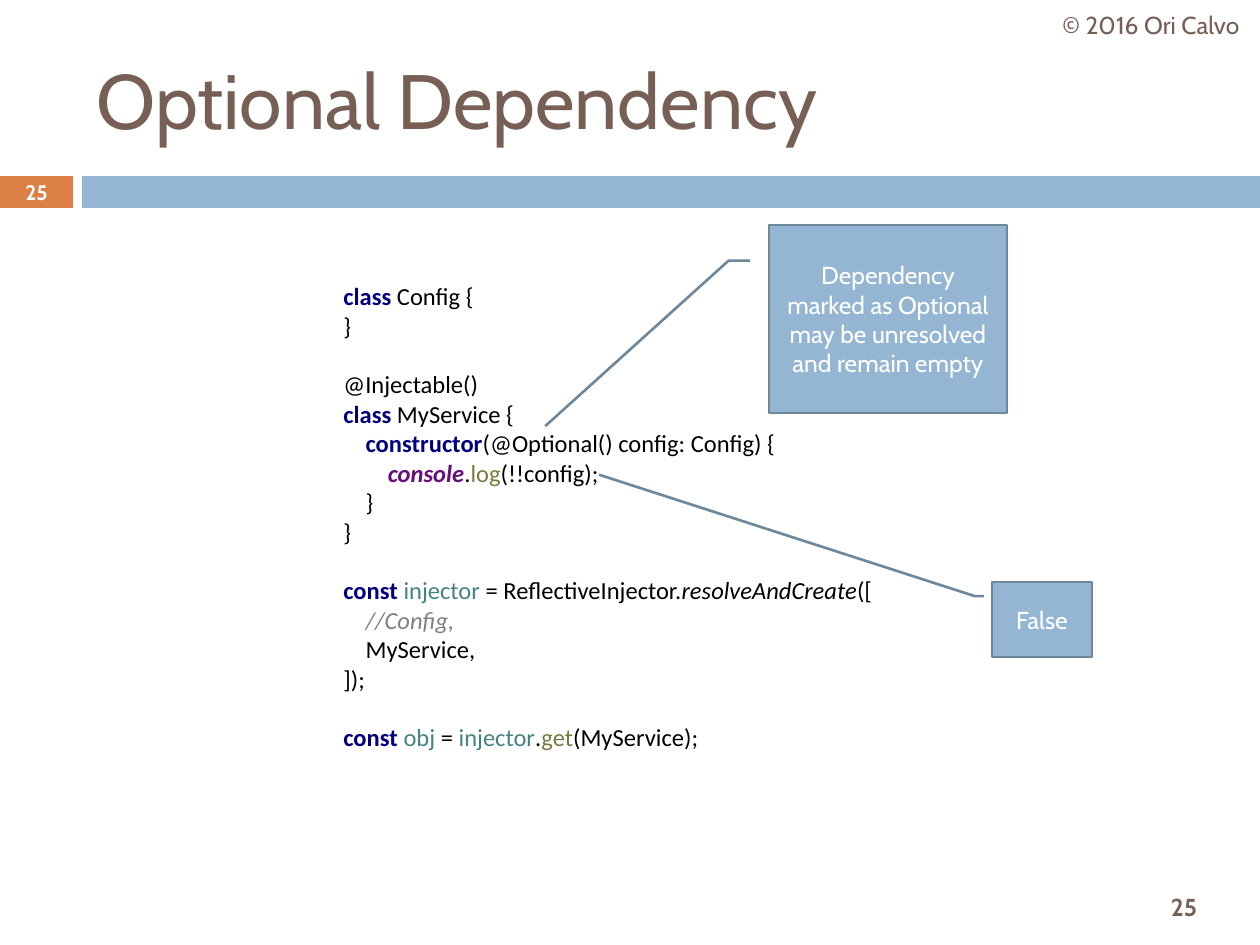
import pptx
import pptx.util
import pptx.dml.color
import pptx.enum.shapes
import pptx.enum.text
import pptx.oxml.ns
import lxml.etree

PX = 914400 / 126
COLORS = {
    "orange": "DD8047", "blue": "94B6D2", "edge": "6D879B", "brown": "775F55",
    "white": "FFFFFF", "black": "000000", "navy": "000080", "purple": "660E7A",
    "olive": "7A7A43", "teal": "458383", "gray": "808080",
}
SHAPE = pptx.enum.shapes.MSO_SHAPE
ALIGN = pptx.enum.text.PP_ALIGN


def px(*lengths):
    return [pptx.util.Emu(round(n * PX)) for n in lengths]


def write(p, text, color, size=14, name="Cabin", bold=False, italic=False):
    """Add one formatted run to paragraph p."""
    r = p.add_run()
    r.text = text
    fmt = {"size": pptx.util.Pt(size), "name": name, "bold": bold, "italic": italic}
    for key, value in fmt.items():
        setattr(r.font, key, value)
    r.font.color.rgb = pptx.dml.color.RGBColor.from_string(COLORS[color])


prs = pptx.Presentation()
prs.slide_width, prs.slide_height = px(1260, 945)
s = prs.slides.add_slide(prs.slide_layouts[5])

# Band under the title
for box, color in [((0, 176, 73, 32), "orange"), ((82, 176, 1178, 32), "blue")]:
    sp = s.shapes.add_shape(SHAPE.RECTANGLE, *px(*box))
    sp.shadow.inherit = False
    sp.fill.solid()
    sp.fill.fore_color.rgb = pptx.dml.color.RGBColor.from_string(COLORS[color])
    sp.line.fill.background()

# Title
title = s.shapes.title
title.left, title.top, title.width, title.height = px(84, 31, 1124, 136)
tf = title.text_frame
tf.auto_size = pptx.enum.text.MSO_AUTO_SIZE.NONE
tf.vertical_anchor = pptx.enum.text.MSO_ANCHOR.MIDDLE
tf.paragraphs[0].alignment = ALIGN.LEFT
write(tf.paragraphs[0], "Optional Dependency", "brown", 44)

# Copyright line and slide numbers
labels = [
    ("© 2016 Ori Calvo", (1042, 0, 218, 50), "brown", 14, False),
    ("25", (0, 175, 73, 34), "white", 12, True),
    ("25", (1126, 880, 116, 53), "brown", 14, True),
]
for text, box, color, size, bold in labels:
    tf = s.shapes.add_textbox(*px(*box)).text_frame
    tf.word_wrap = True
    tf.vertical_anchor = pptx.enum.text.MSO_ANCHOR.MIDDLE
    tf.margin_top = tf.margin_bottom = 0
    tf.paragraphs[0].alignment = ALIGN.CENTER
    write(tf.paragraphs[0], text, color, size, bold=bold)

# Code listing: lines of (text, style)
STYLES = {
    "plain": {"color": "black"},
    "keyword": {"color": "navy", "bold": True},
    "global": {"color": "purple", "bold": True, "italic": True},
    "method": {"color": "olive"},
    "variable": {"color": "teal"},
    "static": {"color": "black", "italic": True},
    "comment": {"color": "gray", "italic": True},
}
code = [
    [("class ", "keyword"), ("Config {", "plain")],
    [("}", "plain")],
    [],
    [("@Injectable()", "plain")],
    [("class ", "keyword"), ("MyService {", "plain")],
    [("    ", "plain"), ("constructor", "keyword"),
     ("(@Optional() config: Config) {", "plain")],
    [("        ", "plain"), ("console", "global"), (".", "plain"),
     ("log", "method"), ("(!!config);", "plain")],
    [("    }", "plain")],
    [("}", "plain")],
    [],
    [("const ", "keyword"), ("injector ", "variable"),
     ("= ReflectiveInjector.", "plain"), ("resolveAndCreate", "static"), ("([", "plain")],
    [("    ", "plain"), ("//Config,", "comment")],
    [("    MyService,", "plain")],
    [("]);", "plain")],
    [],
    [("const ", "keyword"), ("obj ", "variable"), ("= ", "plain"),
     ("injector", "variable"), (".", "plain"), ("get", "method"),
     ("(MyService);", "plain")],
]
tf = s.shapes.add_textbox(*px(331, 275, 630, 488)).text_frame
tf.word_wrap = True
p = tf.paragraphs[0]
for i, line in enumerate(code):
    if i:
        br = lxml.etree.SubElement(p._p, pptx.oxml.ns.qn("a:br"))
        rpr = lxml.etree.SubElement(br, pptx.oxml.ns.qn("a:rPr"), sz="1400")
        lxml.etree.SubElement(rpr, pptx.oxml.ns.qn("a:latin"), typeface="Calibri")
    for text, style in line:
        write(p, text, name="Calibri", **STYLES[style])

# Callouts: the last two adjustments place the tip (y, x)
callouts = [
    ("False", (992, 582, 100, 75), (-1.43, -3.93)),
    ("Dependency marked as Optional may be unresolved and remain empty",
     (769, 225, 238, 188), (1.07, -0.94)),
]
for text, box, tip in callouts:
    sp = s.shapes.add_shape(SHAPE.LINE_CALLOUT_2, *px(*box))
    for i, value in enumerate((0.19, -0.08, 0.19, -0.17, *tip)):
        sp.adjustments[i] = value
    sp.shadow.inherit = False
    sp.fill.solid()
    sp.fill.fore_color.rgb = pptx.dml.color.RGBColor.from_string(COLORS["blue"])
    sp.line.color.rgb = pptx.dml.color.RGBColor.from_string(COLORS["edge"])
    sp.line.width = pptx.util.Pt(1.5)
    tf = sp.text_frame
    tf.word_wrap = True
    tf.vertical_anchor = pptx.enum.text.MSO_ANCHOR.MIDDLE
    tf.paragraphs[0].alignment = ALIGN.CENTER
    write(tf.paragraphs[0], text, "white")

prs.save("out.pptx")
